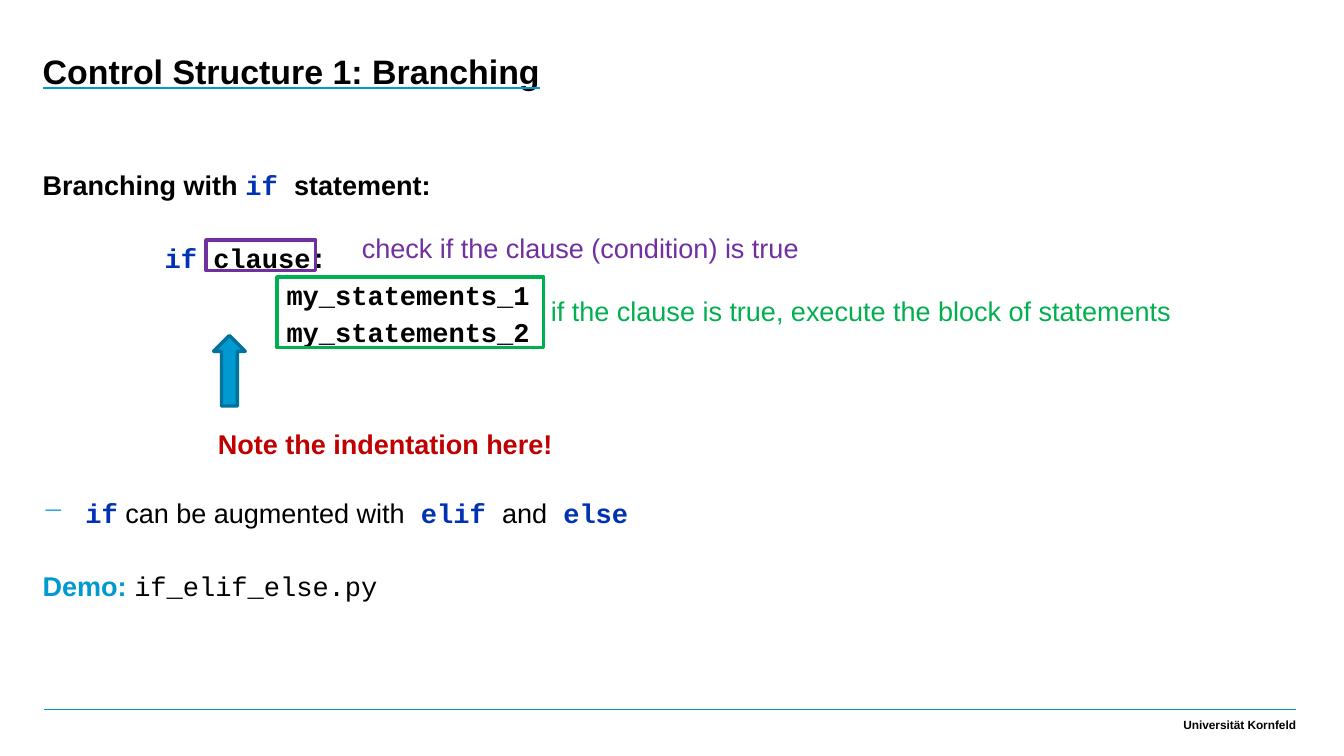
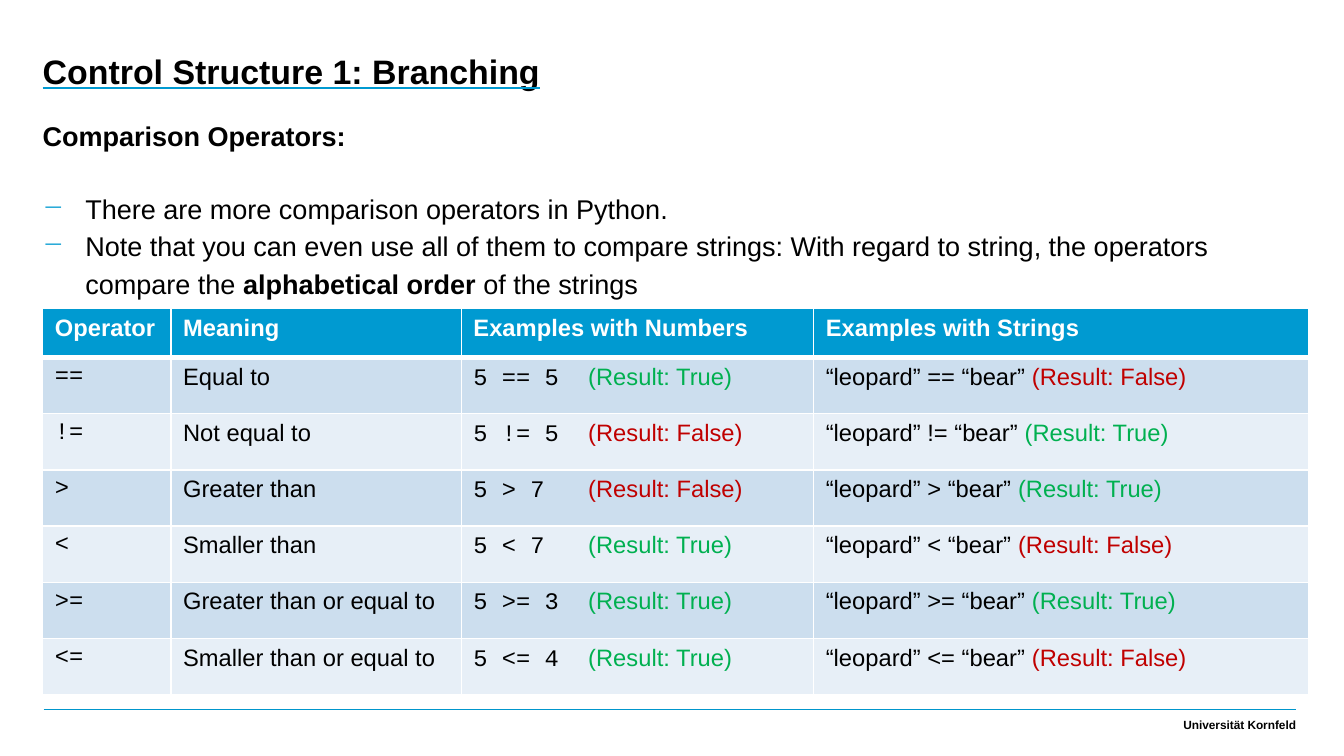
from lxml.etree import SubElement
from pptx import Presentation
from pptx.dml.color import RGBColor
from pptx.enum.shapes import MSO_CONNECTOR, MSO_SHAPE
from pptx.enum.text import MSO_ANCHOR, PP_ALIGN
from pptx.oxml.ns import qn
from pptx.util import Cm, Pt

BLACK, WHITE = "000000", "FFFFFF"
ACCENT, ACCENT_DARK, RULE = "009AD1", "00729B", "0096CC"
KEYWORD, PURPLE, GREEN, RED = "0033B3", "7030A0", "00B050", "C00000"
BAND_COLORS = ("E7EFF7", "CCDEEE")

SANS, MONO = "Arial", "Courier New"
BOLD = {"bold": True}
CODE = {"font": MONO, "bold": True}
KEYWORD_CODE = {**CODE, "color": KEYWORD}

LEFT = 0.89
INDENT = 0.89
TAB = 2.54
BODY_SPACING = 1.15
BLANK_LINE = 21.1  # points taken by one body line
RESULT_TAB = 2.39

TITLE = "Control Structure 1: Branching"
HEADERS = ("Operator", "Meaning", "Examples with Numbers", "Examples with Strings")
COLUMN_WIDTHS = (2.67, 6.05, 7.34, 10.31)
HEADER_HEIGHT, ROW_HEIGHT = 1.02, 1.17

# operator, meaning, right-hand number, result with numbers, result with strings
OPERATORS = (
    ("==", "Equal to", 5, True, False),
    ("!=", "Not equal to", 5, False, True),
    (">", "Greater than", 7, False, True),
    ("<", "Smaller than", 7, True, False),
    (">=", "Greater than or equal to", 3, True, True),
    ("<=", "Smaller than or equal to", 4, True, False),
)


def rgb(value):
    return RGBColor.from_string(value)


# Text
def add_run(paragraph, text, *, size=16, font=SANS, color=BLACK, bold=False, underline=None):
    run = paragraph.add_run()
    run.text = text
    run.font.size = Pt(size)
    run.font.name = font
    run.font.bold = bold
    run.font.color.rgb = rgb(color)
    if underline:
        run.font.underline = True
        properties = run.font._element
        underline_fill = SubElement(properties, qn("a:uFill"))
        solid = SubElement(underline_fill, qn("a:solidFill"))
        SubElement(solid, qn("a:srgbClr"), val=underline)
        properties.find(qn("a:latin")).addprevious(underline_fill)


def add_text_box(slide, box, inset=None):
    shape = slide.shapes.add_textbox(*map(Cm, box))
    frame = shape.text_frame
    frame.word_wrap = True
    if inset is not None:
        frame.margin_left = frame.margin_top = Cm(inset)
        frame.margin_right = frame.margin_bottom = Cm(inset)
    return frame


def add_label(slide, box, text, **text_format):
    add_run(add_text_box(slide, box).paragraphs[0], text, **text_format)


def fill_body_paragraph(paragraph, runs, blanks=0, tabs=0, bullet=False):
    paragraph.line_spacing = BODY_SPACING
    paragraph.space_before = Pt(blanks * BLANK_LINE)
    for text, text_format in runs:
        add_run(paragraph, text, **text_format)
    properties = paragraph._p.get_or_add_pPr()
    if bullet:
        properties.set("marL", str(Cm(INDENT)))
        properties.set("indent", str(-Cm(INDENT)))
        bullet_color = SubElement(properties, qn("a:buClr"))
        SubElement(bullet_color, qn("a:srgbClr"), val=ACCENT)
        SubElement(properties, qn("a:buChar"), char="−")
    elif tabs:
        properties.set("marL", str(Cm(tabs * TAB)))


def add_body(slide, top, width, lines):
    frame = add_text_box(slide, (LEFT, top, width, 10.39), inset=0)
    for index, (runs, layout) in enumerate(lines):
        paragraph = frame.add_paragraph() if index else frame.paragraphs[0]
        fill_body_paragraph(paragraph, runs, **layout)


# Shapes
def add_marker(slide, kind, box, line_color, fill_color=None):
    shape = slide.shapes.add_shape(kind, *map(Cm, box))
    shape.shadow.inherit = False
    shape.line.color.rgb = rgb(line_color)
    shape.line.width = Pt(2)
    if fill_color:
        shape.fill.solid()
        shape.fill.fore_color.rgb = rgb(fill_color)
    else:
        shape.fill.background()


def add_rule(slide, left, right, y):
    connector = slide.shapes.add_connector(
        MSO_CONNECTOR.STRAIGHT, Cm(left), Cm(y), Cm(right), Cm(y))
    connector.line.color.rgb = rgb(RULE)
    connector.line.width = Pt(1)
    SubElement(connector._element.spPr, qn("a:effectLst"))


# Shared slide frame: footer and title
def add_framed_slide(presentation):
    slide = presentation.slides.add_slide(presentation.slide_layouts[6])
    add_rule(slide, 0.91, 27, 14.78)

    footer = add_text_box(slide, (20.4, 14.78, 6.6, 0.61), inset=0)
    footer.margin_bottom = Cm(0.15)
    footer.vertical_anchor = MSO_ANCHOR.BOTTOM
    footer.paragraphs[0].alignment = PP_ALIGN.RIGHT
    add_run(footer.paragraphs[0], "Universität Kornfeld", size=7, bold=True)

    title = add_text_box(slide, (LEFT, 1.12, 17.6, 2.21), inset=0).paragraphs[0]
    title.line_spacing = 0.95
    add_run(title, TITLE, size=20, bold=True, underline=ACCENT)
    return slide


# Table
def style_cell(cell, fill_color, top_width=1, bottom_width=1):
    properties = cell._tc.get_or_add_tcPr()
    widths = {"lnL": 1, "lnR": 1, "lnT": top_width, "lnB": bottom_width}
    for side, width in widths.items():
        border = SubElement(properties, qn(f"a:{side}"), w=str(Pt(width)))
        solid = SubElement(border, qn("a:solidFill"))
        SubElement(solid, qn("a:srgbClr"), val=WHITE)
    cell.fill.solid()
    cell.fill.fore_color.rgb = rgb(fill_color)


def add_result(paragraph, result):
    add_run(paragraph, f"(Result: {result})", size=14, color=GREEN if result else RED)


def fill_operator_row(cells, operator, meaning, number, number_result, string_result):
    name, description, numbers, strings = [
        cell.text_frame.paragraphs[0] for cell in cells]
    add_run(name, operator, size=14, font=MONO)
    add_run(description, meaning, size=14)

    tab_list = SubElement(numbers._p.get_or_add_pPr(), qn("a:tabLst"))
    SubElement(tab_list, qn("a:tab"), pos=str(Cm(RESULT_TAB)), algn="l")
    add_run(numbers, f"5 {operator} {number}\t", size=14, font=MONO)
    add_result(numbers, number_result)

    add_run(strings, f"“leopard” {operator} “bear” ", size=14)
    add_result(strings, string_result)


def add_operator_table(slide):
    height = HEADER_HEIGHT + ROW_HEIGHT * len(OPERATORS)
    table = slide.shapes.add_table(
        len(OPERATORS) + 1, len(HEADERS), Cm(LEFT), Cm(6.43),
        Cm(sum(COLUMN_WIDTHS)), Cm(height)).table
    for column, width in zip(table.columns, COLUMN_WIDTHS):
        column.width = Cm(width)

    table.rows[0].height = Cm(HEADER_HEIGHT)
    for cell, header in zip(table.rows[0].cells, HEADERS):
        style_cell(cell, ACCENT, bottom_width=3)
        add_run(cell.text_frame.paragraphs[0], header, size=14, color=WHITE, bold=True)

    for index, operator_row in enumerate(OPERATORS, start=1):
        row = table.rows[index]
        row.height = Cm(ROW_HEIGHT)
        for cell in row.cells:
            style_cell(cell, BAND_COLORS[index % 2], top_width=3 if index == 1 else 1)
        fill_operator_row(row.cells, *operator_row)


# Slides
def build_if_slide(presentation):
    slide = add_framed_slide(presentation)
    add_body(slide, 3.4, 23.6, (
        ([("Branching with ", BOLD), ("if ", KEYWORD_CODE), ("statement:", BOLD)], {}),
        ([("if ", KEYWORD_CODE), ("clause:", CODE)], {"blanks": 1, "tabs": 1}),
        ([("my_statements_1", CODE)], {"tabs": 2}),
        ([("my_statements_2", CODE)], {"tabs": 2}),
        ([("if", KEYWORD_CODE), (" can be augmented with", {}), (" elif ", KEYWORD_CODE),
          ("and", {}), (" else", KEYWORD_CODE)], {"blanks": 4, "bullet": True}),
        ([("Demo: ", {"color": ACCENT, "bold": True}),
          ("if_elif_else.py", {"font": MONO})], {"blanks": 1}),
    ))

    # Condition, block and indentation notes
    add_marker(slide, MSO_SHAPE.RECTANGLE, (4.29, 5, 2.29, 0.64), PURPLE)
    add_label(slide, (7.29, 4.7, 11.73, 0.94),
              "check if the clause (condition) is true", color=PURPLE)
    add_marker(slide, MSO_SHAPE.RECTANGLE, (5.77, 5.77, 5.56, 1.47), GREEN)
    add_label(slide, (11.23, 6.02, 14.12, 0.94),
              "if the clause is true, execute the block of statements", color=GREEN)
    add_marker(slide, MSO_SHAPE.UP_ARROW, (4.45, 6.99, 0.66, 1.47), ACCENT_DARK, ACCENT)
    add_label(slide, (4.29, 8.79, 13.56, 0.94),
              "Note the indentation here!", color=RED, bold=True)


def build_comparison_slide(presentation):
    slide = add_framed_slide(presentation)
    add_body(slide, 2.39, 25.78, (
        ([("Comparison Operators:", BOLD)], {}),
        ([("There are more comparison operators in Python.", {})],
         {"blanks": 1, "bullet": True}),
        ([("Note that you can even use all of them to compare strings: "
           "With regard to string, the operators compare the ", {}),
          ("alphabetical order ", BOLD), ("of the strings", {})], {"bullet": True}),
    ))
    add_operator_table(slide)


def main():
    presentation = Presentation()
    presentation.slide_width = Cm(28)
    presentation.slide_height = Cm(15.75)
    build_if_slide(presentation)
    build_comparison_slide(presentation)
    presentation.save("out.pptx")


if __name__ == "__main__":
    main()
